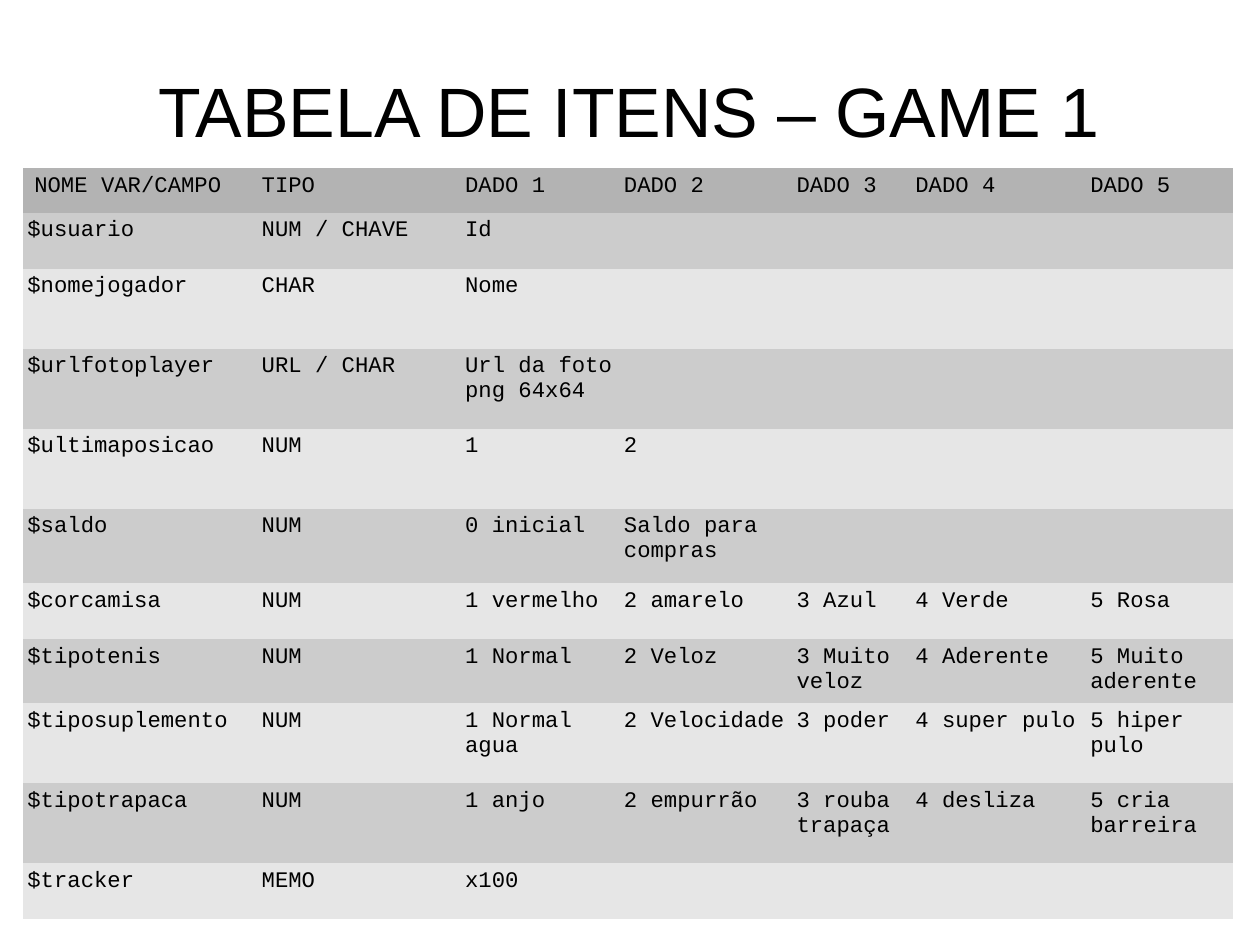
from pptx import Presentation
from pptx.dml.color import RGBColor
from pptx.enum.text import MSO_ANCHOR, PP_ALIGN
from pptx.oxml.ns import qn
from pptx.util import Inches, Pt

BLACK = RGBColor(0x00, 0x00, 0x00)
HEADER = RGBColor(0xB3, 0xB3, 0xB3)
DARK_BAND = RGBColor(0xCC, 0xCC, 0xCC)
LIGHT_BAND = RGBColor(0xE6, 0xE6, 0xE6)
NO_GRID_STYLE = "{2D5ABB26-0587-4C30-8999-92F81FD0307C}"
CM_PER_INCH = 2.54

COLUMN_WIDTHS = [2.05, 1.78, 1.39, 1.51, 1.04, 1.53, 1.29]
ROW_HEIGHTS = [0.39, 0.49, 0.7, 0.7, 0.7, 0.65, 0.49, 0.56, 0.7, 0.7, 0.49]
ITEMS = [
    ["NOME VAR/CAMPO", "TIPO", "DADO 1", "DADO 2", "DADO 3", "DADO 4", "DADO 5"],
    ["$usuario", "NUM / CHAVE", "Id"],
    ["$nomejogador", "CHAR", "Nome"],
    ["$urlfotoplayer", "URL / CHAR", "Url da foto png 64x64"],
    ["$ultimaposicao", "NUM", "1", "2"],
    ["$saldo", "NUM", "0 inicial", "Saldo para compras"],
    ["$corcamisa", "NUM", "1 vermelho", "2 amarelo", "3 Azul", "4 Verde", "5 Rosa"],
    ["$tipotenis", "NUM", "1 Normal", "2 Veloz", "3 Muito veloz", "4 Aderente",
     "5 Muito aderente"],
    ["$tiposuplemento", "NUM", "1 Normal agua", "2 Velocidade", "3 poder",
     "4 super pulo", "5 hiper pulo"],
    ["$tipotrapaca", "NUM", "1 anjo", "2 empurrão", "3 rouba trapaça", "4 desliza",
     "5 cria barreira"],
    ["$tracker", "MEMO", "x100"],
]


class SlideBuilder:
    def __init__(self, prs):
        self.s = prs.slides.add_slide(prs.slide_layouts[5])
        self.title_font = "Arial"
        self.table_font = "Courier New"

    def format_run(self, r, name, size):
        r.font.name = name
        r.font.size = Pt(size)
        r.font.color.rgb = BLACK

    def title(self, text, left, top, width, height):
        sp = self.s.shapes.title
        sp.left, sp.top = Inches(left), Inches(top)
        sp.width, sp.height = Inches(width), Inches(height)
        tf = sp.text_frame
        tf.text = text
        tf.word_wrap = True
        tf.vertical_anchor = MSO_ANCHOR.MIDDLE
        tf.margin_left = tf.margin_right = tf.margin_top = tf.margin_bottom = 0
        p = tf.paragraphs[0]
        p.alignment = PP_ALIGN.CENTER
        self.format_run(p.runs[0], self.title_font, 44)

    def cell(self, cell, text, fill, side_margin):
        cell.fill.solid()
        cell.fill.fore_color.rgb = fill
        cell.margin_left = cell.margin_right = Inches(side_margin)
        cell.margin_top = cell.margin_bottom = Inches(0.05)
        if text:
            cell.text_frame.text = text
            self.format_run(cell.text_frame.paragraphs[0].runs[0], self.table_font, 14)

    def table(self, items, left, top, widths, heights):
        frame = self.s.shapes.add_table(
            len(heights), len(widths), Inches(left), Inches(top),
            Inches(sum(widths)), Inches(sum(heights)))
        table = frame.table
        next(frame._element.iter(qn("a:tableStyleId"))).text = NO_GRID_STYLE
        for column, width in zip(table.columns, widths):
            column.width = Inches(width)
        for i, (row, height) in enumerate(zip(table.rows, heights)):
            row.height = Inches(height)
            band = DARK_BAND if i % 2 else LIGHT_BAND
            fill = band if i else HEADER
            for j, cell in enumerate(row.cells):
                text = items[i][j] if j < len(items[i]) else ""
                self.cell(cell, text, fill, 0.1 if i == j == 0 else 0.04)


def main():
    prs = Presentation()
    prs.slide_width = Inches(28 / CM_PER_INCH)
    prs.slide_height = Inches(21 / CM_PER_INCH)
    slide = SlideBuilder(prs)
    slide.title("TABELA DE ITENS – GAME 1", 0.55, 0.33, 9.92, 1.25)
    slide.table(ITEMS, 0.2, 1.47, COLUMN_WIDTHS, ROW_HEIGHTS)
    prs.save("out.pptx")


if __name__ == "__main__":
    main()
